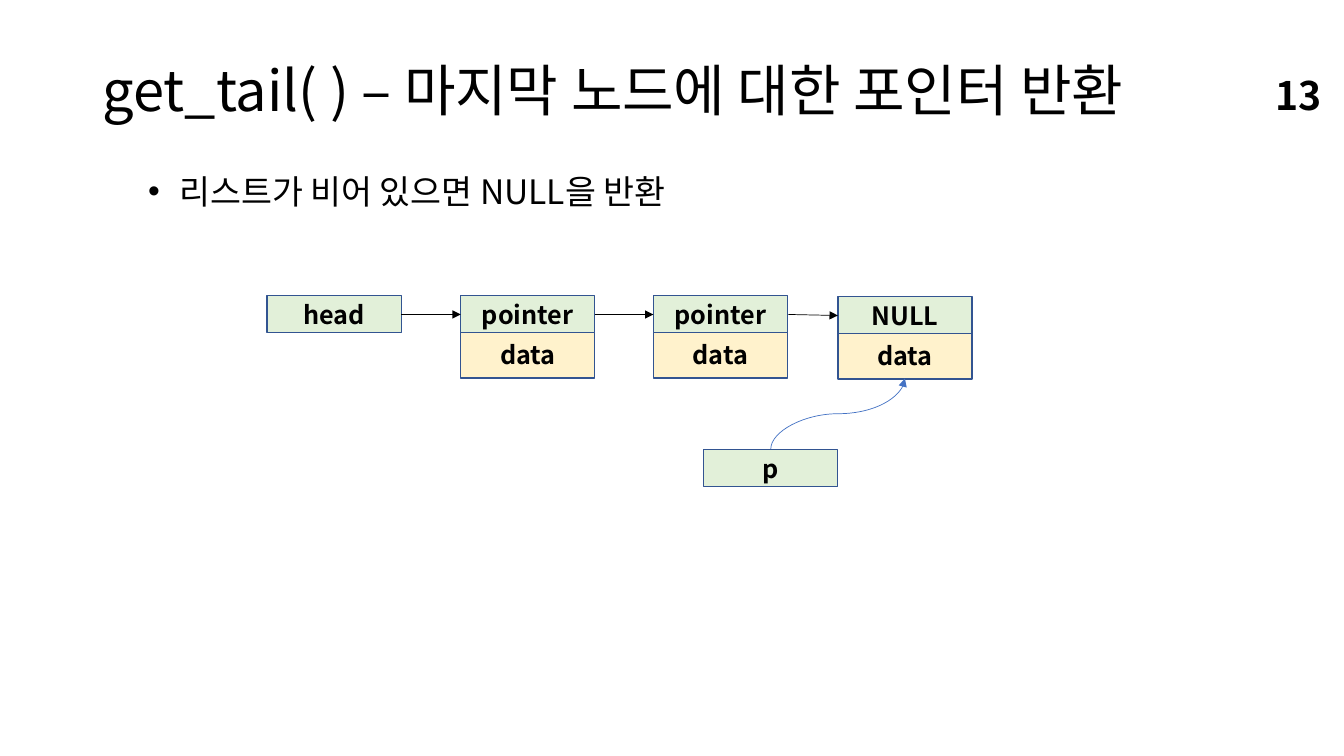
"""Build the get_tail() slide with its linked-list diagram."""
from lxml.etree import SubElement
from pptx import Presentation
from pptx.dml.color import RGBColor
from pptx.enum.shapes import MSO_CONNECTOR as LINK, MSO_SHAPE as SHAPE
from pptx.enum.text import MSO_ANCHOR as ANCHOR, PP_ALIGN as ALIGN
from pptx.oxml.ns import qn
from pptx.util import Inches, Pt

FONT = "Noto Sans CJK KR"
BLACK = RGBColor(0x00, 0x00, 0x00)
GREEN = RGBColor(0xE2, 0xF0, 0xD9)
CREAM = RGBColor(0xFF, 0xF2, 0xCC)
NAVY = RGBColor(0x32, 0x54, 0x91)
BLUE = RGBColor(0x44, 0x72, 0xC4)
CELL_WIDTH, POINTER_HEIGHT, DATA_HEIGHT = 1.33, 0.37, 0.46


def write(box, text, size, bold=False, align=ALIGN.LEFT, anchor=ANCHOR.MIDDLE):
    frame = box.text_frame
    frame.word_wrap = True
    frame.vertical_anchor = anchor
    para = frame.paragraphs[0]
    para.alignment = align
    span = para.add_run()
    span.text = text
    for name, value in {"name": FONT, "size": Pt(size), "bold": bold}.items():
        setattr(span.font, name, value)
    span.font.color.rgb = BLACK
    SubElement(span.font._element, qn("a:ea"), typeface=FONT)
    return para


def add_arrow(page, kind, start, end, color):
    arrow = page.shapes.add_connector(kind, *map(Inches, start + end))
    arrow.line.color.rgb = color
    arrow.line.width = Pt(0.5)
    SubElement(arrow.line._get_or_add_ln(), qn("a:tailEnd"), type="triangle")
    SubElement(arrow._element.spPr, qn("a:effectLst"))
    return arrow


deck = Presentation()
deck.slide_width, deck.slide_height = Inches(13.33), Inches(7.5)
page = deck.slides.add_slide(deck.slide_layouts[6])

title = page.shapes.add_textbox(*map(Inches, (0.92, 0.4, 11.5, 1.05)))
para = write(title, "get_tail( ) – 마지막 노드에 대한 포인터 반환", 40)
para.line_spacing = 0.9

cells = [
    ("head", 2.65, 2.93, POINTER_HEIGHT, GREEN),
    ("p", 6.98, 4.46, POINTER_HEIGHT, GREEN),
]
for label, left, top in [("pointer", 4.57, 2.93), ("pointer", 6.48, 2.93), ("NULL", 8.31, 2.94)]:
    cells.append(("data", left, top + 0.36, DATA_HEIGHT, CREAM))
    cells.append((label, left, top, POINTER_HEIGHT, GREEN))

for label, left, top, height, color in cells:
    cell = page.shapes.add_shape(SHAPE.RECTANGLE, *map(Inches, (left, top, CELL_WIDTH, height)))
    cell.shadow.inherit = False
    cell.fill.solid()
    cell.fill.fore_color.rgb = color
    cell.line.color.rgb = NAVY
    cell.line.width = Pt(1)
    write(cell, label, 18, bold=True, align=ALIGN.CENTER)

for start, end in [
    ((3.98, 3.12), (4.57, 3.12)),
    ((5.9, 3.12), (6.48, 3.12)),
    ((7.82, 3.12), (8.31, 3.13)),
]:
    add_arrow(page, LINK.STRAIGHT, start, end, BLACK)

tail_arrow = add_arrow(page, LINK.CURVE, (8.66, 4.77), (7.96, 3.44), BLUE)
tail_arrow.rotation = 90

bullet_box = page.shapes.add_textbox(*map(Inches, (1.37, 1.65, 9.06, 0.5)))
para = write(bullet_box, "리스트가 비어 있으면 NULL을 반환", 24, anchor=ANCHOR.TOP)
props = para._p.get_or_add_pPr()
props.set("marL", str(Inches(0.31)))
props.set("indent", str(Inches(-0.31)))
SubElement(props, qn("a:buFont"), typeface="Arial")
SubElement(props, qn("a:buChar"), char="•")

number = page.shapes.add_textbox(*map(Inches, (9.97, 0.74, 3.24, 0.4)))
write(number, "13", 28, bold=True, align=ALIGN.RIGHT)

deck.save("out.pptx")
